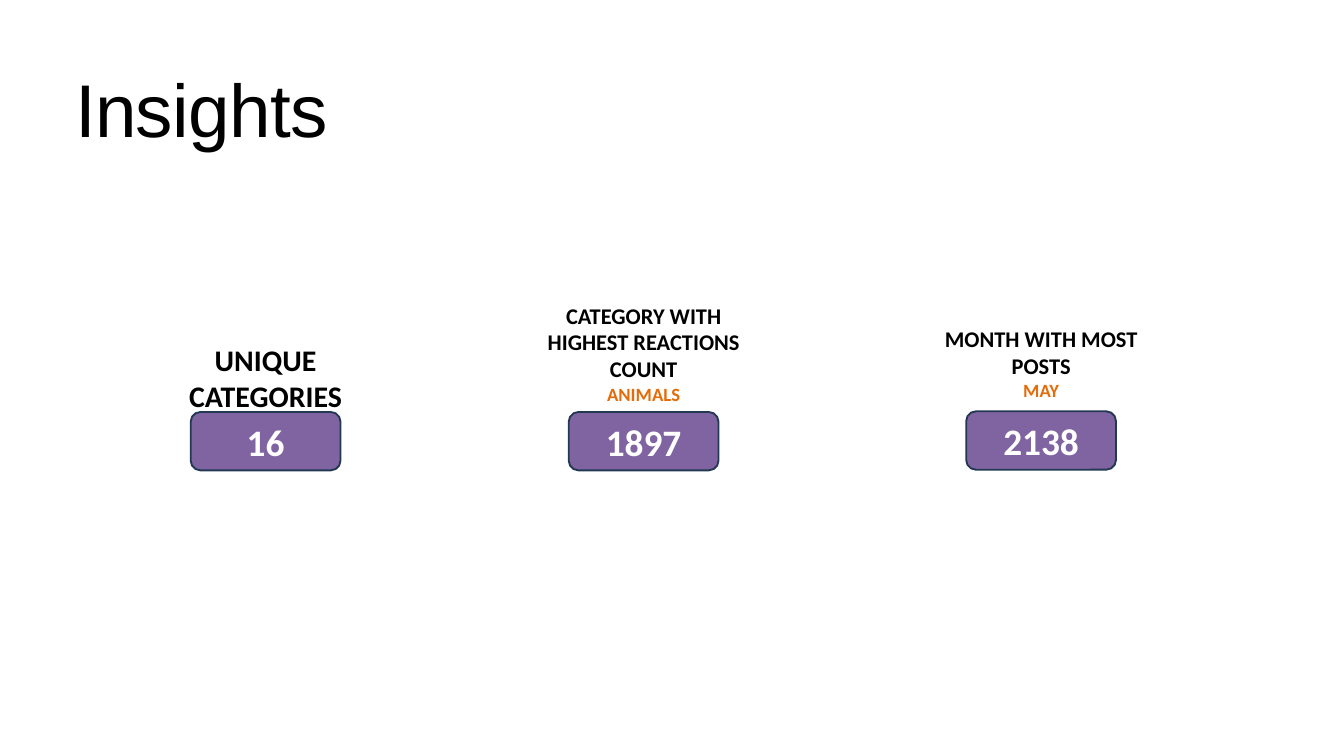
from dataclasses import dataclass

from pptx import Presentation
from pptx.dml.color import RGBColor
from pptx.enum.shapes import MSO_SHAPE
from pptx.enum.text import MSO_ANCHOR, PP_ALIGN
from pptx.util import Pt

BLACK, WHITE, ORANGE = "000000", "FFFFFF", "E46C0A"
PURPLE, NAVY = "8064A2", "233953"
LABEL_WIDTH = 242
BADGE_WIDTH, BADGE_HEIGHT = 160.5, 62.6


@dataclass
class Insight:
    center: float
    label: str
    label_top: float
    label_height: float
    label_size: float
    value: str
    badge_top: float = 441.4
    detail: str = ""


INSIGHTS = [
    Insight(284.6, "UNIQUE CATEGORIES", 362.9, 85, 32, "16"),
    Insight(689.6, "CATEGORY WITH HIGHEST REACTIONS COUNT", 319.7, 118.8, 24,
            "1897", detail="ANIMALS"),
    Insight(1115.5, "MONTH WITH MOST POSTS", 344.9, 90, 24,
            "2138", badge_top=440.7, detail="MAY"),
]


def rgb(value: str) -> RGBColor:
    return RGBColor.from_string(value)


def write(paragraph, text: str, *, size: float, color: str, font: str = "Calibri",
          bold: bool = True, align=PP_ALIGN.CENTER, tracking: float = 0) -> None:
    paragraph.alignment = align
    run = paragraph.add_run()
    run.text = text
    run.font.name = font
    run.font.size = Pt(size)
    run.font.bold = bold
    run.font.color.rgb = rgb(color)
    if tracking:
        run.font._element.set("spc", str(round(tracking * 100)))


def add_title(slide, text: str) -> None:
    title = slide.shapes.title
    title.left, title.top, title.width, title.height = Pt(80.6), Pt(67.7), Pt(365), Pt(97.2)
    frame = title.text_frame
    frame.margin_left = frame.margin_top = frame.margin_right = frame.margin_bottom = 0
    frame.vertical_anchor = MSO_ANCHOR.TOP
    frame.paragraphs[0].line_spacing = Pt(96)
    write(frame.paragraphs[0], text, size=80, color=BLACK, font="Arial",
          bold=False, align=PP_ALIGN.LEFT, tracking=-0.8)


def add_insight(slide, insight: Insight) -> None:
    # Label with an optional detail line
    label = slide.shapes.add_textbox(
        Pt(insight.center - LABEL_WIDTH / 2), Pt(insight.label_top),
        Pt(LABEL_WIDTH), Pt(insight.label_height)).text_frame
    label.word_wrap = True
    write(label.paragraphs[0], insight.label, size=insight.label_size, color=BLACK)
    if insight.detail:
        write(label.add_paragraph(), insight.detail, size=20, color=ORANGE)

    # Value badge
    badge = slide.shapes.add_shape(
        MSO_SHAPE.ROUNDED_RECTANGLE,
        Pt(insight.center - BADGE_WIDTH / 2), Pt(insight.badge_top),
        Pt(BADGE_WIDTH), Pt(BADGE_HEIGHT))
    badge.shadow.inherit = False
    badge.fill.solid()
    badge.fill.fore_color.rgb = rgb(PURPLE)
    badge.line.color.rgb = rgb(NAVY)
    badge.line.width = Pt(2)
    badge.text_frame.vertical_anchor = MSO_ANCHOR.MIDDLE
    write(badge.text_frame.paragraphs[0], insight.value, size=40, color=WHITE)


def main() -> None:
    presentation = Presentation()
    presentation.slide_width, presentation.slide_height = Pt(1440), Pt(810)
    slide = presentation.slides.add_slide(presentation.slide_layouts[5])
    add_title(slide, "Insights")
    for insight in INSIGHTS:
        add_insight(slide, insight)
    presentation.save("out.pptx")


if __name__ == "__main__":
    main()
